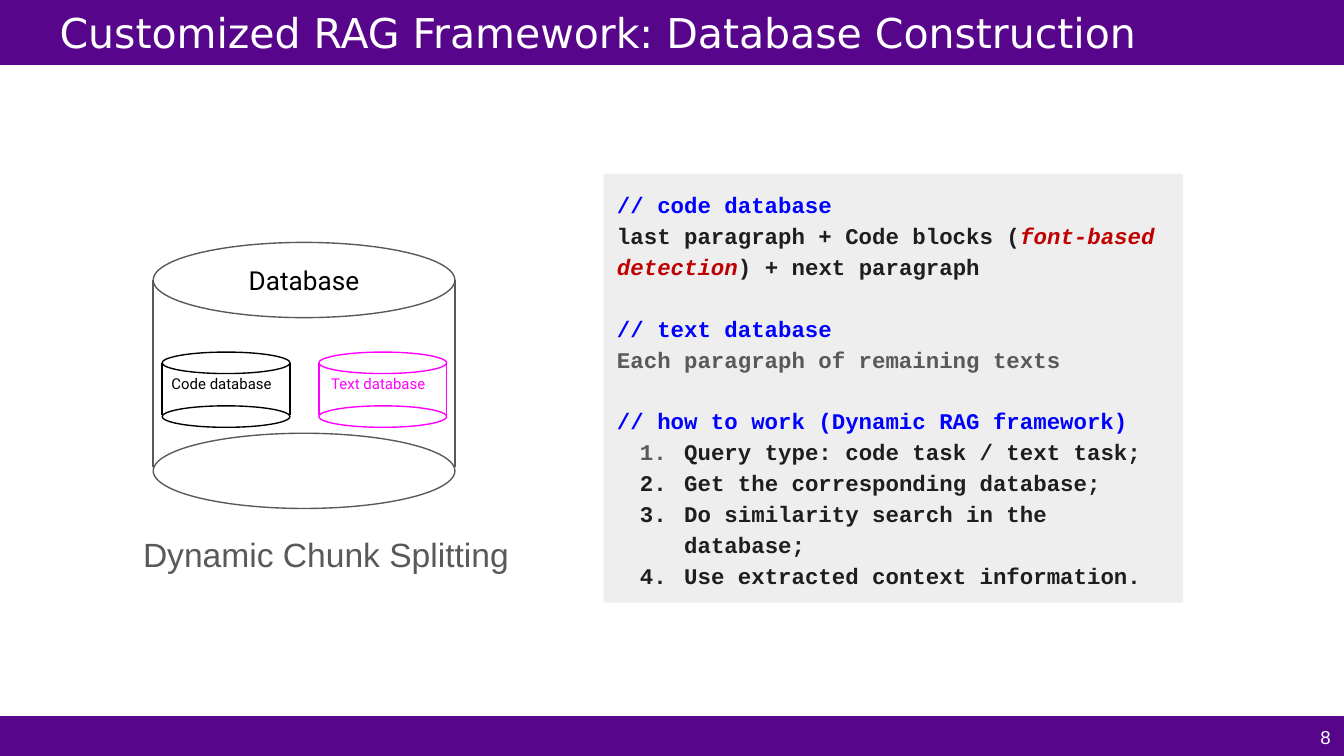
from dataclasses import dataclass

from lxml import etree
from pptx import Presentation
from pptx.dml.color import RGBColor
from pptx.enum.shapes import MSO_CONNECTOR, MSO_SHAPE
from pptx.enum.text import MSO_ANCHOR, PP_ALIGN
from pptx.oxml.ns import qn
from pptx.util import Inches, Pt

RECT, ELLIPSE = MSO_SHAPE.RECTANGLE, MSO_SHAPE.OVAL
STRAIGHT = MSO_CONNECTOR.STRAIGHT
TOP, MIDDLE = MSO_ANCHOR.TOP, MSO_ANCHOR.MIDDLE
LEFT, CENTER, RIGHT = PP_ALIGN.LEFT, PP_ALIGN.CENTER, PP_ALIGN.RIGHT

SLIDE_WIDTH = Inches(10)
SLIDE_HEIGHT = SLIDE_WIDTH * 9 // 16
UNIT = SLIDE_WIDTH / 100  # one square grid cell: 100 columns across


@dataclass(frozen=True)
class Theme:
    purple: str = "57068C"
    white: str = "FFFFFF"
    black: str = "000000"
    grey: str = "595959"
    panel: str = "EEEEEE"
    ink: str = "1E1E1E"
    blue: str = "0000FF"
    red: str = "C00000"
    magenta: str = "FF00FF"
    sans: str = "Arial"
    heading: str = "DejaVu Sans"
    label: str = "Roboto"
    mono: str = "Courier New"
    title_size: float = 22
    caption_size: float = 18
    database_size: float = 14
    code_size: float = 12
    number_size: float = 10
    label_size: float = 8
    thin: float = 0.75
    bar_line: float = 1.5


THEME = Theme()


@dataclass(frozen=True)
class Box:
    """A frame in grid columns and rows."""
    col: float
    row: float
    cols: float
    rows: float

    def emu(self) -> tuple[int, ...]:
        return tuple(round(n * UNIT) for n in (self.col, self.row, self.cols, self.rows))


@dataclass(frozen=True)
class Cylinder:
    cap: Box
    drop: float  # rows from the top cap to the bottom cap
    side: float  # rows spanned by the side lines
    color: str


@dataclass(frozen=True)
class Run:
    text: str
    color: str = THEME.ink
    italic: bool = False


@dataclass(frozen=True)
class CodeLine:
    runs: tuple[Run, ...]
    gap: bool = False
    number_color: str = ""  # set for numbered steps


def rgb(color: str) -> RGBColor:
    return RGBColor.from_string(color)


def add_shape(slide, kind, box: Box, fill: str, line: str = "", weight: float = THEME.thin):
    shape = slide.shapes.add_shape(kind, *box.emu())
    shape.shadow.inherit = False
    shape.fill.solid()
    shape.fill.fore_color.rgb = rgb(fill)
    if line:
        shape.line.color.rgb = rgb(line)
        shape.line.width = Pt(weight)
    else:
        shape.line.fill.background()
    return shape


def add_text_box(slide, box: Box):
    return slide.shapes.add_textbox(*box.emu())


def set_frame(shape, anchor, inset: float = 0.1):
    frame = shape.text_frame
    frame.word_wrap = True
    frame.vertical_anchor = anchor
    frame.margin_left = frame.margin_right = Inches(0.1)
    frame.margin_top = frame.margin_bottom = Inches(inset)
    return frame


def write(paragraph, text: str, *, font: str, size: float, color: str,
          align=LEFT, bold: bool = False, italic: bool = False) -> None:
    paragraph.alignment = align
    run = paragraph.add_run()
    run.text = text
    run.font.name, run.font.size = font, Pt(size)
    run.font.bold, run.font.italic = bold, italic
    run.font.color.rgb = rgb(color)


def add_side(slide, col: float, row: float, rows: float, color: str) -> None:
    x, top, bottom = (round(n * UNIT) for n in (col, row, row + rows))
    side = slide.shapes.add_connector(STRAIGHT, x, top, x, bottom)
    side.line.color.rgb = rgb(color)
    side.line.width = Pt(THEME.thin)
    etree.SubElement(side._element.spPr, qn("a:effectLst"))


def add_cylinder(slide, cylinder: Cylinder):
    """Draw the cylinder and return its top cap."""
    cap, color = cylinder.cap, cylinder.color
    top = add_shape(slide, ELLIPSE, cap, THEME.white, color)
    for col in (cap.col, cap.col + cap.cols):
        add_side(slide, col, cap.row + cap.rows / 2, cylinder.side, color)
    base = Box(cap.col, cap.row + cylinder.drop, cap.cols, cap.rows)
    add_shape(slide, ELLIPSE, base, THEME.white, color)
    return top


def number_step(paragraph, color: str) -> None:
    properties = paragraph._p.get_or_add_pPr()
    properties.set("marL", str(Inches(0.5)))
    properties.set("indent", str(Inches(-0.33)))
    bullet_color = etree.SubElement(properties, qn("a:buClr"))
    etree.SubElement(bullet_color, qn("a:srgbClr"), val=color)
    etree.SubElement(properties, qn("a:buFont"), typeface=THEME.mono)
    etree.SubElement(properties, qn("a:buAutoNum"), type="arabicPeriod")


def add_code_panel(slide, box: Box, lines: list[CodeLine]) -> None:
    frame = set_frame(add_shape(slide, RECT, box, THEME.panel), TOP)
    for index, line in enumerate(lines):
        paragraph = frame.add_paragraph() if index else frame.paragraphs[0]
        paragraph.line_spacing = 1.15
        paragraph.space_before = Pt(16.5 if line.gap else 0)
        if line.number_color:
            number_step(paragraph, line.number_color)
        for run in line.runs:
            write(paragraph, run.text, font=THEME.mono, size=THEME.code_size,
                  color=run.color, bold=True, italic=run.italic)


def heading(text: str, gap: bool = True) -> CodeLine:
    return CodeLine((Run(text, THEME.blue),), gap)


def step(text: str, number_color: str = THEME.ink) -> CodeLine:
    return CodeLine((Run(text),), number_color=number_color)


CODE_LINES = [
    heading("// code database", gap=False),
    CodeLine((Run("last paragraph + Code blocks ("),
              Run("font-based detection", THEME.red, italic=True),
              Run(") + next paragraph"))),
    heading("// text database"),
    CodeLine((Run("Each paragraph of remaining texts", THEME.grey),)),
    heading("// how to work (Dynamic RAG framework)"),
    step("Query type: code task / text task;", THEME.grey),
    step("Get the corresponding database;"),
    step("Do similarity search in the database;"),
    step("Use extracted context information."),
]
INNER_DATABASES = [(12.07, "Code database", THEME.black), (23.73, "Text database", THEME.magenta)]


def main() -> None:
    deck = Presentation()
    deck.slide_width, deck.slide_height = SLIDE_WIDTH, SLIDE_HEIGHT
    slide = deck.slides.add_slide(deck.slide_layouts[6])

    # Header and footer bars, page number, title
    for bar in (Box(0, -0.05, 100, 4.8), Box(0, 53.4, 100, 2.9)):
        add_shape(slide, RECT, bar, THEME.purple, THEME.purple, THEME.bar_line)
    page = set_frame(add_text_box(slide, Box(94, 53.4, 6, 2.9)), MIDDLE)
    write(page.paragraphs[0], "8", font=THEME.sans, size=THEME.number_size,
          color=THEME.white, align=RIGHT)
    title = set_frame(add_text_box(slide, Box(3.45, 0, 93.2, 4.8)), MIDDLE)
    write(title.paragraphs[0], "Customized RAG Framework: Database Construction",
          font=THEME.heading, size=THEME.title_size, color=THEME.white)

    # Outer database holding the two inner ones
    outer = Cylinder(Box(11.4, 18.04, 22.45, 5.6), 14.2, 13.9, THEME.grey)
    database = set_frame(add_cylinder(slide, outer), MIDDLE)
    write(database.paragraphs[0], "Database", font=THEME.label,
          size=THEME.database_size, color=THEME.black, align=CENTER)
    for col, name, color in INNER_DATABASES:
        add_cylinder(slide, Cylinder(Box(col, 26.2, 9.5, 1.6), 4, 3.9, color))
        label = set_frame(add_text_box(slide, Box(col - 0.33, 27.24, 9.5, 3.4)), TOP)
        write(label.paragraphs[0], name, font=THEME.label, size=THEME.label_size,
              color=color, align=CENTER)

    # Splitting rules and caption
    add_code_panel(slide, Box(44.92, 12.94, 43.1, 31.9), CODE_LINES)
    caption = set_frame(add_text_box(slide, Box(9.66, 39.24, 30.6, 4)), TOP, inset=0.05)
    write(caption.paragraphs[0], "Dynamic Chunk Splitting", font=THEME.sans,
          size=THEME.caption_size, color=THEME.grey)

    deck.save("out.pptx")


if __name__ == "__main__":
    main()
